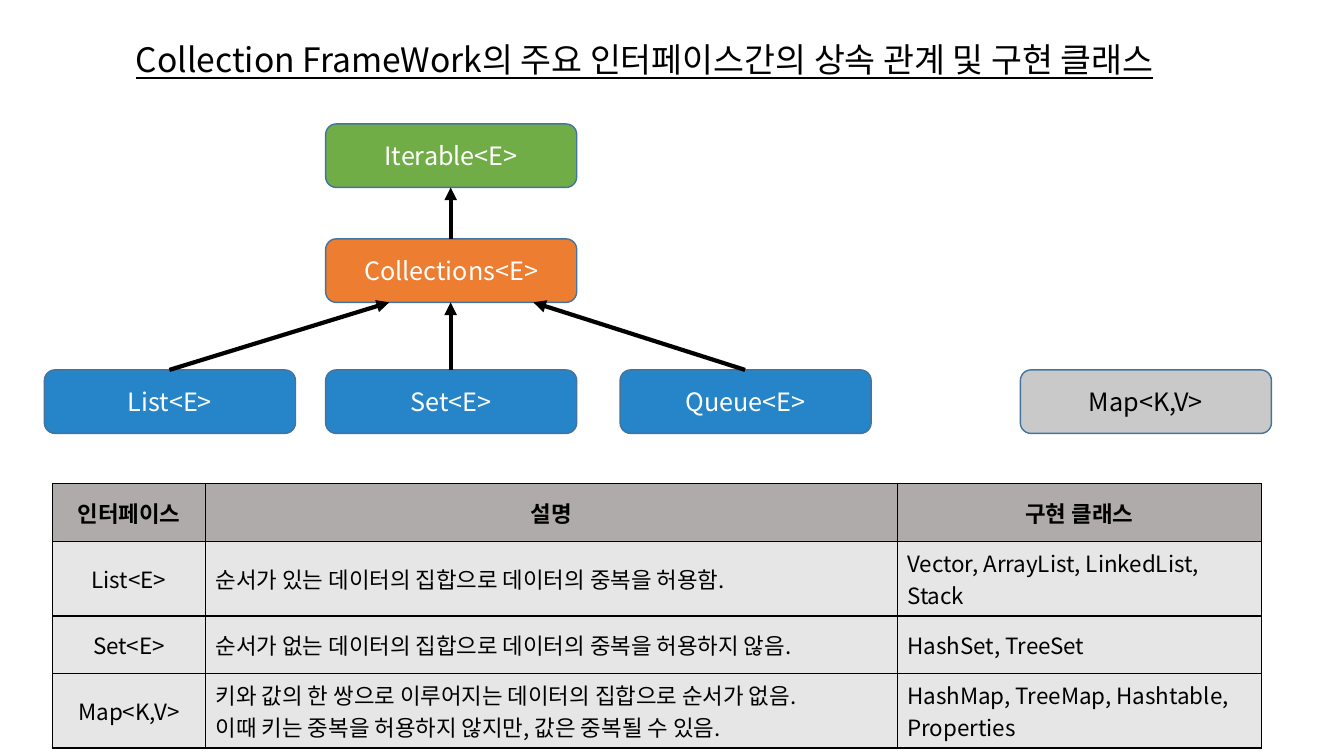
from lxml import etree
from pptx import Presentation
from pptx.dml.color import RGBColor
from pptx.enum.shapes import MSO_CONNECTOR, MSO_SHAPE
from pptx.enum.text import MSO_ANCHOR, MSO_AUTO_SIZE, PP_ALIGN
from pptx.oxml.ns import qn
from pptx.util import Emu, Pt

EMU_PER_PX = 9144
ROUNDED = MSO_SHAPE.ROUNDED_RECTANGLE
STRAIGHT = MSO_CONNECTOR.STRAIGHT
MIDDLE = MSO_ANCHOR.MIDDLE
FIT_SHAPE = MSO_AUTO_SIZE.SHAPE_TO_FIT_TEXT
LEFT, CENTER = PP_ALIGN.LEFT, PP_ALIGN.CENTER

FONT = "Noto Sans CJK KR"
BLACK, WHITE = "000000", "FFFFFF"
GREEN, ORANGE, BLUE, GRAY = "70AD47", "ED7D31", "0070C0", "C9C9C9"
OUTLINE = "43739E"
HEADER_FILL, BODY_FILL = "AFABAB", "E7E6E6"

BOX_WIDTH, BOX_HEIGHT = 249, 63
ITERABLE_TOP, COLLECTION_TOP, INTERFACE_TOP = 123, 237, 367
LIST_LEFT, SET_LEFT, QUEUE_LEFT, MAP_LEFT = 44, 323, 615, 1012

BOXES = [
    ("Iterable<E>", SET_LEFT, ITERABLE_TOP, GREEN, WHITE, 100),
    ("Collections<E>", SET_LEFT, COLLECTION_TOP, ORANGE, WHITE, 100),
    ("List<E>", LIST_LEFT, INTERFACE_TOP, BLUE, WHITE, 85),
    ("Set<E>", SET_LEFT, INTERFACE_TOP, BLUE, WHITE, 85),
    ("Queue<E>", QUEUE_LEFT, INTERFACE_TOP, BLUE, WHITE, 85),
    ("Map<K,V>", MAP_LEFT, INTERFACE_TOP, GRAY, BLACK, 100),
]

TABLE_ROWS = [
    ("인터페이스", "설명", "구현 클래스"),
    ("List<E>", "순서가 있는 데이터의 집합으로 데이터의 중복을 허용함.",
     "Vector, ArrayList, LinkedList, Stack"),
    ("Set<E>", "순서가 없는 데이터의 집합으로 데이터의 중복을 허용하지 않음.",
     "HashSet, TreeSet"),
    ("Map<K,V>",
     "키와 값의 한 쌍으로 이루어지는 데이터의 집합으로 순서가 없음.\n"
     "이때 키는 중복을 허용하지 않지만, 값은 중복될 수 있음.",
     "HashMap, TreeMap, Hashtable, Properties"),
]


def px(length):
    return Emu(length * EMU_PER_PX)


def color(hex_string):
    return RGBColor.from_string(hex_string)


class SlideBuilder:
    def __init__(self, slide, font_name):
        self.slide = slide
        self.font_name = font_name

    def set_text(self, frame, text, size, text_color, align=LEFT, bold=False, underline=False):
        frame.text = text
        for paragraph in frame.paragraphs:
            paragraph.alignment = align
            font = paragraph.font
            font.name = self.font_name
            font.size = Pt(size)
            font.bold = bold
            font.underline = underline
            font.color.rgb = color(text_color)
            properties = paragraph._p.find(".//" + qn("a:defRPr"))
            etree.SubElement(properties, qn("a:ea"), typeface=self.font_name)

    def title(self, text, left, top, width, height):
        shape = self.slide.shapes.add_textbox(px(left), px(top), px(width), px(height))
        frame = shape.text_frame
        frame.word_wrap = False
        frame.auto_size = FIT_SHAPE
        self.set_text(frame, text, 24, BLACK, underline=True)

    def box(self, text, left, top, fill, text_color, opacity):
        shape = self.slide.shapes.add_shape(
            ROUNDED, px(left), px(top), px(BOX_WIDTH), px(BOX_HEIGHT))
        shape.shadow.inherit = False
        shape.fill.solid()
        shape.fill.fore_color.rgb = color(fill)
        if opacity < 100:
            fill_color = shape._element.spPr.find(qn("a:solidFill"))[0]
            etree.SubElement(fill_color, qn("a:alpha"), val=str(opacity * 1000))
        shape.line.color.rgb = color(OUTLINE)
        shape.line.width = Pt(1)
        shape.text_frame.vertical_anchor = MIDDLE
        self.set_text(shape.text_frame, text, 18, text_color, CENTER)

    def arrow(self, start_x, start_y, end_x, end_y):
        connector = self.slide.shapes.add_connector(
            STRAIGHT, px(start_x), px(start_y), px(end_x), px(end_y))
        connector.line.color.rgb = color(BLACK)
        connector.line.width = Pt(3)
        properties = connector._element.spPr
        etree.SubElement(properties.find(qn("a:ln")), qn("a:tailEnd"), type="triangle")
        etree.SubElement(properties, qn("a:effectLst"))

    def cell_borders(self, cell):
        properties = cell._tc.get_or_add_tcPr()
        for side in ("lnL", "lnR", "lnT", "lnB"):
            border = etree.SubElement(properties, qn("a:" + side), w=str(int(Pt(1))))
            fill = etree.SubElement(border, qn("a:solidFill"))
            etree.SubElement(fill, qn("a:srgbClr"), val=BLACK)

    def table(self, rows, left, top, column_widths, row_height):
        table = self.slide.shapes.add_table(
            len(rows), len(column_widths), px(left), px(top),
            px(sum(column_widths)), px(row_height * len(rows))).table
        for column, width in zip(table.columns, column_widths):
            column.width = px(width)
        for row_index, row in enumerate(rows):
            header = row_index == 0
            for column_index, text in enumerate(row):
                cell = table.cell(row_index, column_index)
                self.cell_borders(cell)
                cell.fill.solid()
                cell.fill.fore_color.rgb = color(HEADER_FILL if header else BODY_FILL)
                cell.vertical_anchor = MIDDLE
                align = CENTER if header or column_index == 0 else LEFT
                self.set_text(cell.text_frame, text, 16, BLACK, align, bold=header)


def main():
    presentation = Presentation()
    presentation.slide_width = px(1333)
    presentation.slide_height = px(750)
    slide = presentation.slides.add_slide(presentation.slide_layouts[6])
    builder = SlideBuilder(slide, FONT)

    for box in BOXES:
        builder.box(*box)

    half = BOX_WIDTH // 2
    center = SET_LEFT + half
    collection_bottom = COLLECTION_TOP + BOX_HEIGHT
    builder.arrow(center, COLLECTION_TOP, center, ITERABLE_TOP + BOX_HEIGHT)
    for left, target in ((SET_LEFT, center), (LIST_LEFT, 386), (QUEUE_LEFT, 529)):
        builder.arrow(left + half, INTERFACE_TOP, target, collection_bottom)

    builder.table(TABLE_ROWS, 52, 480, (152, 686, 361), 57)
    builder.title("Collection FrameWork의 주요 인터페이스간의 상속 관계 및 구현 클래스",
                  125, 34, 1114, 50)
    presentation.save("out.pptx")


if __name__ == "__main__":
    main()
